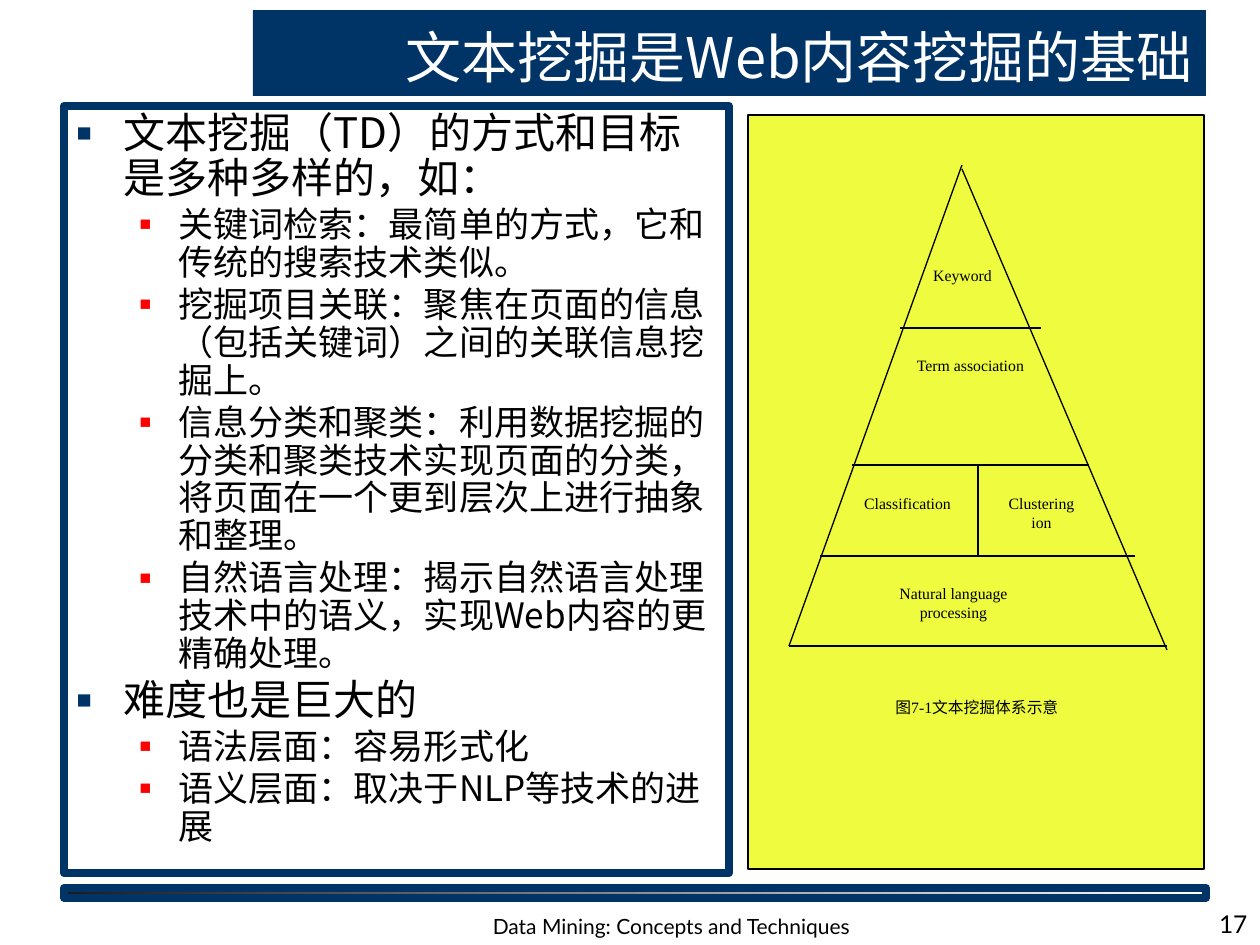
"""Build the slide on text mining as the basis of Web content mining."""
import pptx
import pptx.dml.color
import pptx.enum.shapes
import pptx.enum.text
import pptx.oxml
import pptx.oxml.ns
import pptx.util

RGBColor = pptx.dml.color.RGBColor
PP_ALIGN = pptx.enum.text.PP_ALIGN
MSO_ANCHOR = pptx.enum.text.MSO_ANCHOR

NAVY = RGBColor(0x00, 0x33, 0x66)
RED = RGBColor(0xFF, 0x00, 0x00)
YELLOW = RGBColor(0xEE, 0xFB, 0x3F)
CHARCOAL = RGBColor(0x1C, 0x1C, 0x1C)
BLACK = RGBColor(0x00, 0x00, 0x00)
WHITE = RGBColor(0xFF, 0xFF, 0xFF)

SANS_SC = "Noto Sans CJK SC"
SANS_JP = "Noto Sans CJK JP"
SERIF = "Times New Roman"
LATO = "Lato"

PX_PER_INCH = 126
SLIDE_SIZE = (1260, 945)

# Per level: font, size, space before, bullet colour, bullet percent, margin, hanging indent
LEVELS = [
    (SANS_JP, 24, 3, NAVY, 60, 47, 47),
    (SANS_SC, 20, 2.5, RED, 55, 102, 39),
]

BODY = [
    (0, "文本挖掘（TD）的方式和目标是多种多样的，如："),
    (1, "关键词检索：最简单的方式，它和传统的搜索技术类似。"),
    (1, "挖掘项目关联：聚焦在页面的信息（包括关键词）之间的关联信息挖掘上。"),
    (1, "信息分类和聚类：利用数据挖掘的分类和聚类技术实现页面的分类，将页面在一个更到层次上进行抽象和整理。"),
    (1, "自然语言处理：揭示自然语言处理技术中的语义，实现Web内容的更精确处理。"),
    (0, "难度也是巨大的"),
    (1, "语法层面：容易形式化"),
    (1, "语义层面：取决于NLP等技术的进展"),
]

PYRAMID_LABELS = [
    ("Keyword", (915, 260, 95, 68)),
    ("Term association", (900, 350, 141, 68)),
    ("Classification", (837, 488, 141, 68)),
    ("Clustering\nion", (994, 488, 95, 68)),
    ("Natural language processing", (883, 578, 141, 68)),
]

PYRAMID_LINES = [
    (962, 165, 789, 646),
    (962, 169, 1167, 650),
    (900, 328, 1041, 328),
    (852, 465, 1089, 465),
    (978, 465, 978, 556),
    (820, 556, 1135, 556),
    (789, 646, 1167, 646),
]


def emu(px):
    """Convert px to EMU."""
    return pptx.util.Emu(round(px * 914400 / PX_PER_INCH))


class SlideBuilder:
    """Hold the style and the current slide."""

    def __init__(self, slide):
        """Keep the slide to draw on."""
        self.slide = slide

    def place(self, shape, box):
        """Move and size a shape."""
        shape.left, shape.top, shape.width, shape.height = map(emu, box)

    def outline(self, shape, color, width):
        """Set the line of a shape."""
        shape.line.color.rgb = color
        shape.line.width = pptx.util.Pt(width)

    def style(self, paragraph, font, size, color=BLACK, align=None):
        """Set the font and alignment of a paragraph."""
        paragraph.alignment = align
        paragraph.font.name = font
        paragraph.font.size = pptx.util.Pt(size)
        paragraph.font.color.rgb = color
        properties = paragraph._p.get_or_add_pPr().get_or_add_defRPr()
        east_asian = pptx.oxml.ns.qn("a:ea")
        typeface = SANS_SC if font == SERIF else font
        properties.append(properties.makeelement(east_asian, {"typeface": typeface}))

    def frame(self, shape, anchor):
        """Prepare the text frame of a shape."""
        frame = shape.text_frame
        frame.word_wrap = True
        frame.auto_size = pptx.enum.text.MSO_AUTO_SIZE.NONE
        frame.vertical_anchor = anchor
        return frame

    def rectangle(self, box, line_color, line_width):
        """Add an outlined rectangle."""
        shape = self.slide.shapes.add_shape(
            pptx.enum.shapes.MSO_SHAPE.RECTANGLE, *map(emu, box))
        shape.shadow.inherit = False
        self.outline(shape, line_color, line_width)
        return shape

    def rule(self, box):
        """Add the gradient bar above the footer."""
        fill = self.rectangle(box, NAVY, 4.5).fill
        fill.gradient()
        fill.gradient_angle = 180
        for stop, color in zip(fill.gradient_stops, (WHITE, CHARCOAL)):
            stop.color.rgb = color

    def panel(self, box):
        """Add the plain yellow panel."""
        fill = self.rectangle(box, BLACK, 0.75).fill
        fill.solid()
        fill.fore_color.rgb = YELLOW

    def title(self, text, box):
        """Fill the title placeholder."""
        shape = self.slide.shapes.title
        self.place(shape, box)
        shape.fill.solid()
        shape.fill.fore_color.rgb = NAVY
        frame = self.frame(shape, MSO_ANCHOR.BOTTOM)
        frame.text = text
        self.style(frame.paragraphs[0], SANS_SC, 32, WHITE, PP_ALIGN.RIGHT)

    def bullet(self, paragraph, color, percent, margin, hanging):
        """Give a paragraph a square bullet and a hanging indent."""
        properties = paragraph._p.get_or_add_pPr()
        properties.set("marL", str(emu(margin)))
        properties.set("indent", str(-emu(hanging)))
        namespace = pptx.oxml.ns.nsdecls("a")
        for xml in (
            f'<a:buClr {namespace}><a:srgbClr val="{color}"/></a:buClr>',
            f'<a:buSzPct {namespace} val="{percent * 1000}"/>',
            f'<a:buChar {namespace} char="■"/>',
        ):
            properties.append(pptx.oxml.parse_xml(xml))

    def body(self, items, box):
        """Fill the body placeholder with a two-level list."""
        shape = self.slide.placeholders[1]
        self.place(shape, box)
        self.outline(shape, NAVY, 4.5)
        frame = self.frame(shape, MSO_ANCHOR.TOP)
        frame.text = "\n".join(text for _, text in items)
        for index, (paragraph, (level, _)) in enumerate(zip(frame.paragraphs, items)):
            font, size, space, color, percent, margin, hanging = LEVELS[level]
            paragraph.level = level
            paragraph.line_spacing = 0.9
            paragraph.space_before = pptx.util.Pt(space if index else 0)
            self.bullet(paragraph, color, percent, margin, hanging)
            self.style(paragraph, font, size)

    def text(self, text, box, font=SERIF, size=9, align=PP_ALIGN.CENTER,
             anchor=MSO_ANCHOR.TOP):
        """Add a text box."""
        shape = self.slide.shapes.add_textbox(*map(emu, box))
        frame = self.frame(shape, anchor)
        frame.text = text
        for paragraph in frame.paragraphs:
            self.style(paragraph, font, size, align=align)

    def line(self, ends):
        """Add a thin straight line."""
        connector = self.slide.shapes.add_connector(
            pptx.enum.shapes.MSO_CONNECTOR.STRAIGHT, *map(emu, ends))
        self.outline(connector, BLACK, 0.75)
        properties = connector._element.spPr
        properties.append(properties.makeelement(pptx.oxml.ns.qn("a:effectLst"), {}))


def main():
    """Build and save the presentation."""
    presentation = pptx.Presentation()
    presentation.slide_width, presentation.slide_height = map(emu, SLIDE_SIZE)
    builder = SlideBuilder(presentation.slides.add_slide(presentation.slide_layouts[1]))
    builder.rule((64, 888, 1142, 10))
    builder.title("文本挖掘是Web内容挖掘的基础", (253, 10, 953, 86))
    builder.body(BODY, (64, 106, 665, 767))
    builder.panel((748, 115, 456, 754))
    for text, box in PYRAMID_LABELS:
        builder.text(text, box)
    for ends in PYRAMID_LINES:
        builder.line(ends)
    builder.text("图7-1文本挖掘体系示意", (883, 692, 220, 68), align=PP_ALIGN.JUSTIFY)
    builder.text("Data Mining: Concepts and Techniques", (472, 892, 399, 53),
                 LATO, 12, anchor=MSO_ANCHOR.BOTTOM)
    builder.text("17", (998, 882, 262, 63), LATO, 14, PP_ALIGN.RIGHT, MSO_ANCHOR.BOTTOM)
    presentation.save("out.pptx")


if __name__ == "__main__":
    main()
